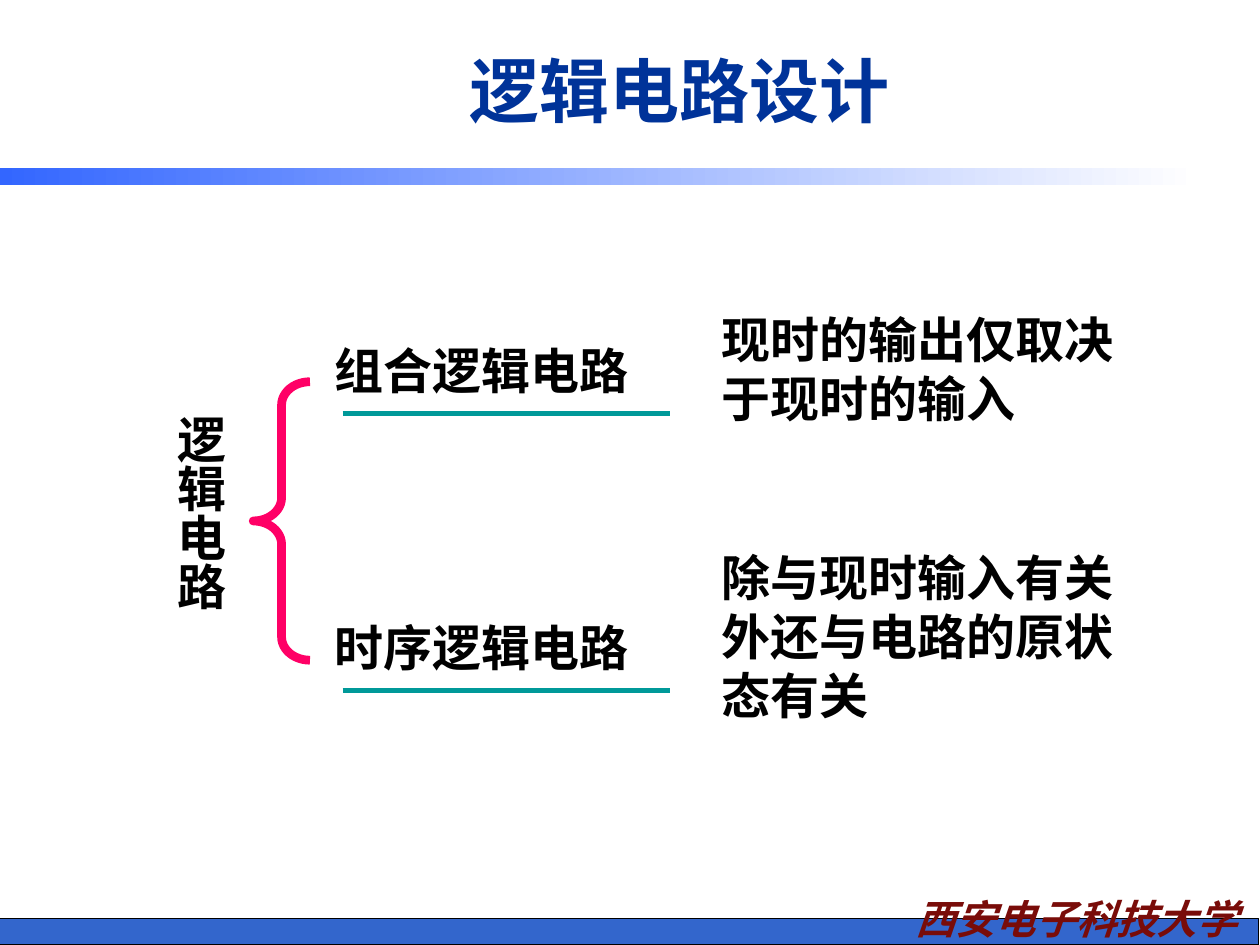
from pptx import Presentation
from pptx.dml.color import RGBColor
from pptx.enum.shapes import MSO_CONNECTOR, MSO_SHAPE
from pptx.enum.text import MSO_ANCHOR, PP_ALIGN
from pptx.oxml.ns import qn
from pptx.util import Inches, Pt


def color(value):
    """Turn a hex string into a colour."""
    return RGBColor.from_string(value)


def add_text(s, box, text, size=28, font="Times New Roman", fill="000000",
             align=PP_ALIGN.LEFT, anchor=MSO_ANCHOR.TOP, italic=False):
    """Add one bold paragraph in a wrapping text box."""
    sp = s.shapes.add_textbox(*map(Inches, box))
    tf = sp.text_frame
    tf.word_wrap = True
    tf.vertical_anchor = anchor
    p = tf.paragraphs[0]
    p.alignment = align
    r = p.add_run()
    r.text = text
    r.font.name = font
    r.font.size = Pt(size)
    r.font.bold = True
    r.font.italic = italic
    r.font.color.rgb = color(fill)
    return sp


def add_rule(s, left, top, width):
    """Draw a teal underline."""
    sp = s.shapes.add_connector(MSO_CONNECTOR.STRAIGHT, Inches(left), Inches(top),
                                Inches(left + width), Inches(top))
    sp.line.color.rgb = color("009999")
    sp.line.width = Pt(3)
    sp._element.spPr.add_effectLst() if hasattr(sp._element.spPr, "add_effectLst") else \
        sp._element.spPr.append(sp._element.spPr.makeelement(qn("a:effectLst"), {}))


def add_shape(s, kind, box):
    """Add a preset shape without shadow."""
    sp = s.shapes.add_shape(kind, *map(Inches, box))
    sp.shadow.inherit = False
    return sp


def add_header(s, left, top, width, height):
    """Place the title and the fading bar below it."""
    add_text(s, (left + 1.33, top + 0.17, width - 2, 1.08), " 逻辑电路设计", 40, "Arial",
             "003399", PP_ALIGN.CENTER, MSO_ANCHOR.MIDDLE)
    bar = add_shape(s, MSO_SHAPE.RECTANGLE, (left, top + height - 0.14, width - 0.49, 0.14))
    bar.fill.gradient()
    bar.fill.gradient_angle = 0
    for stop, value in zip(bar.fill.gradient_stops, ("3366FF", "FFFFFF")):
        stop.color.rgb = color(value)
    bar.line.fill.background()


def add_footer(s, left, top, width, height):
    """Place the bottom band and the university name."""
    band = add_shape(s, MSO_SHAPE.RECTANGLE, (left, top, width, height))
    band.fill.solid()
    band.fill.fore_color.rgb = color("3366CC")
    band.line.color.rgb = color("000000")
    band.line.width = Pt(0.75)
    add_text(s, (left + width - 3.02, top - 0.24, 3.15, 0.49), "西安电子科技大学", 23,
             "Noto Sans CJK SC", "790C09", PP_ALIGN.CENTER, italic=True)


def add_root(s, left, top, width, height):
    """Place the vertical root label and the brace."""
    sp = add_text(s, (left, top + 0.17, 0.66, 2), "逻辑电路")
    tf = sp.text_frame
    tf.margin_left = tf.margin_right = Inches(0.05)
    tf.margin_top = tf.margin_bottom = Inches(0.1)
    tf._txBody.bodyPr.set("vert", "eaVert")
    brace = add_shape(s, MSO_SHAPE.LEFT_BRACE, (left + width - 0.45, top, 0.45, height))
    brace.adjustments[0] = 0.41
    brace.fill.background()
    brace.line.color.rgb = color("FF0066")
    brace.line.width = Pt(5)


def add_branch(s, left, top, name, note, note_top, note_height):
    """Place an underlined branch name with its explanation."""
    add_text(s, (left, top, 3, 0.57), name)
    add_rule(s, left + 0.16, top + 0.63, 2.6)
    add_text(s, (left + 3.07, note_top, 3.42, note_height), note)


def main():
    """Build the slide."""
    prs = Presentation()
    prs.slide_width, prs.slide_height = Inches(10), Inches(7.5)
    s = prs.slides.add_slide(prs.slide_layouts[6])
    add_footer(s, -0.01, 7.29, 10, 0.21)
    add_header(s, 0, 0, 10, 1.47)
    add_root(s, 1.21, 3.03, 1.25, 2.21)
    branches = [("组合逻辑电路", "现时的输出仅取决于现时的输入", 2.41, 1.04),
                ("时序逻辑电路", "除与现时输入有关外还与电路的原状态有关", 4.3, 1.5)]
    for i, branch in enumerate(branches):
        add_branch(s, 2.56, 2.65 + 2.2 * i, *branch)
    prs.save("out.pptx")


if __name__ == "__main__":
    main()
